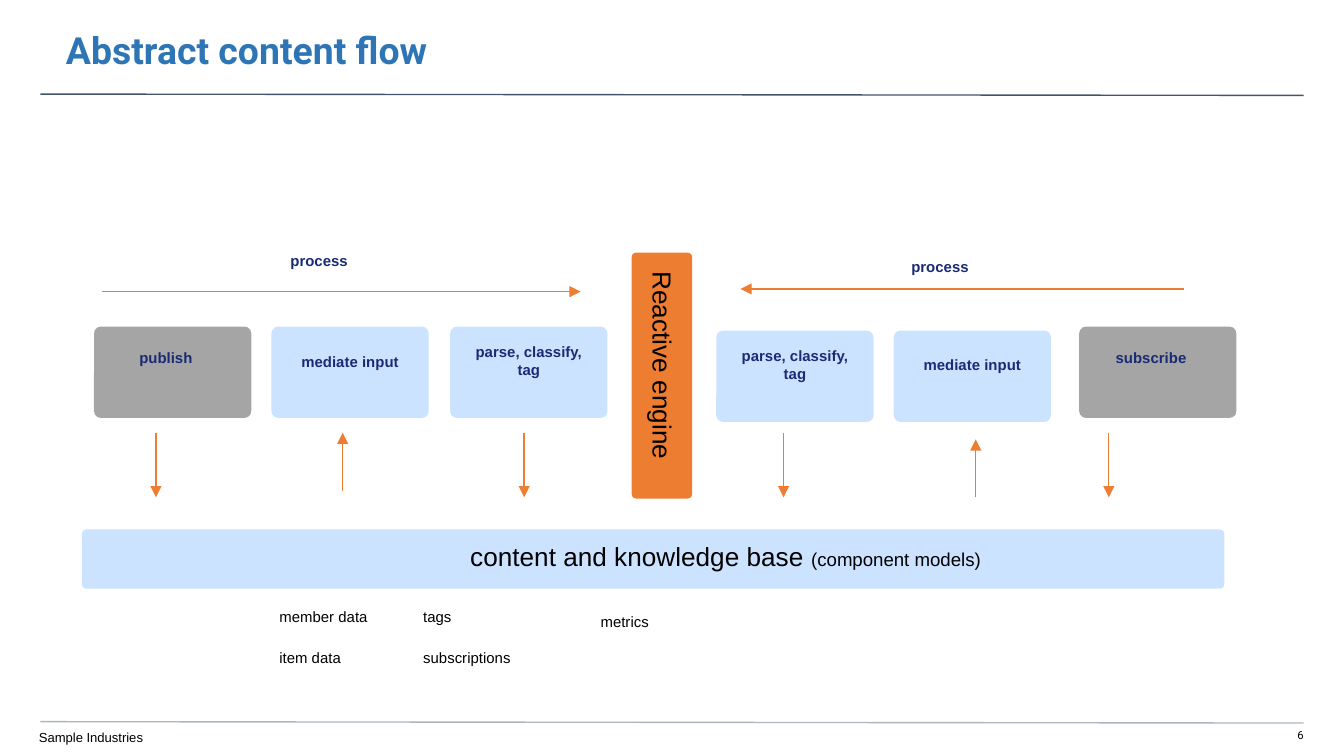
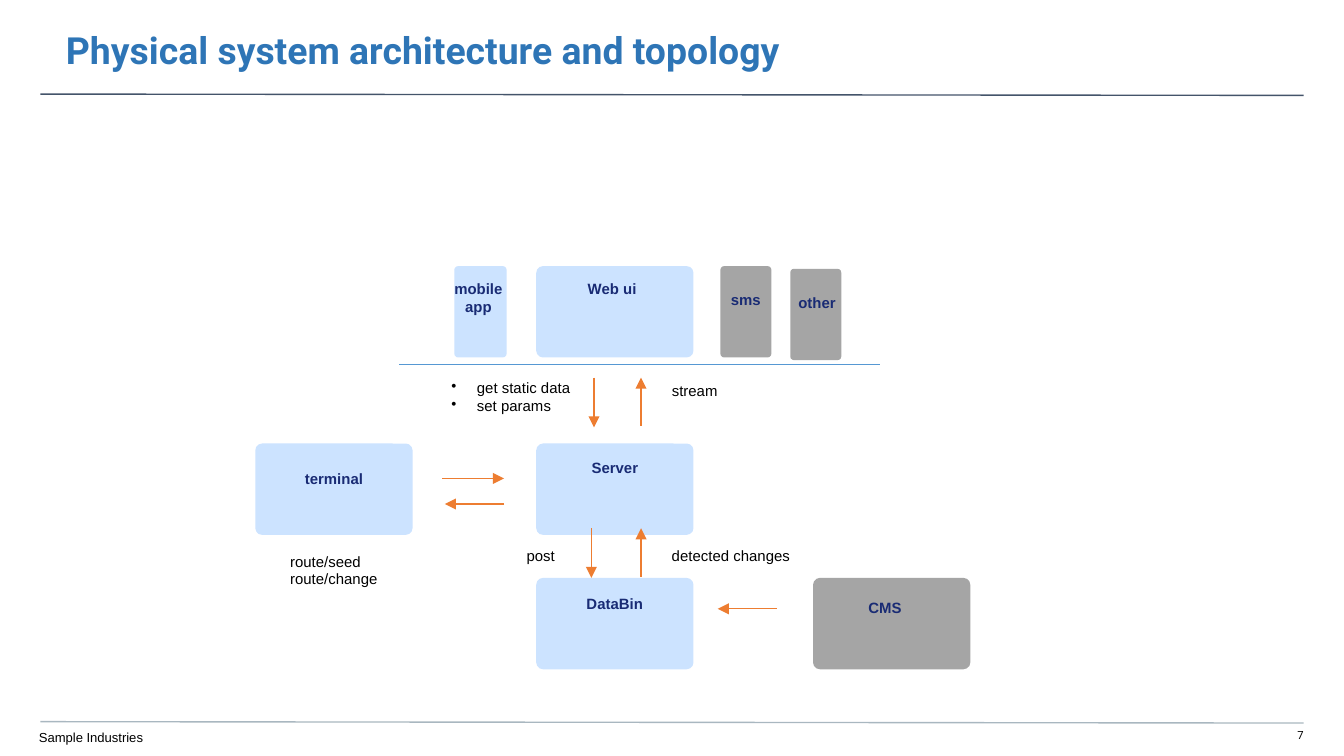
import dataclasses
import lxml.etree
import pptx
import pptx.util
import pptx.dml.color
import pptx.enum.shapes
import pptx.enum.text
import pptx.oxml.ns

PX = 9144
RGB = pptx.dml.color.RGBColor.from_string
Align = pptx.enum.text.PP_ALIGN
Anchor = pptx.enum.text.MSO_ANCHOR
Fit = pptx.enum.text.MSO_AUTO_SIZE
qn = pptx.oxml.ns.qn


@dataclasses.dataclass(frozen=True)
class Theme:
    title: str = "2E75B6"
    ink: str = "000000"
    navy: str = "192B74"
    blue: str = "CCE3FF"
    gray: str = "A5A5A5"
    flame: str = "ED7D31"
    sky: str = "5698D3"
    head: str = "44546A"
    foot: str = "A9B7C0"
    sans: str = "Arial"
    face: str = "Roboto"
    big: int = 20
    mid: int = 14
    low: int = 10
    body: int = 8
    fine: int = 7
    tiny: int = 6
    line: float = 0.75


theme = Theme()


def write(shape, text, size=theme.body, tint=theme.ink, face=theme.sans, bold=False,
          side=Align.LEFT, hold=Anchor.TOP, fit=Fit.SHAPE_TO_FIT_TEXT, pads=(10, 5, 10, 5)):
    frame = shape.text_frame
    frame.text = text
    frame.word_wrap = True
    frame.auto_size = fit
    frame.vertical_anchor = hold
    frame.margin_left, frame.margin_top, frame.margin_right, frame.margin_bottom = [p * PX for p in pads]
    for para in frame.paragraphs:
        para.alignment = side
        para.font.size = pptx.util.Pt(size)
        para.font.name = face
        para.font.bold = bold
        para.font.color.rgb = RGB(tint)
    return frame


def link(page, ends, tint=theme.flame, tip=True):
    line = page.shapes.add_connector(pptx.enum.shapes.MSO_CONNECTOR.STRAIGHT, *[v * PX for v in ends])
    line.line.color.rgb = RGB(tint)
    line.line.width = pptx.util.Pt(theme.line)
    if tip:
        lxml.etree.SubElement(line.line._get_or_add_ln(), qn("a:tailEnd"), type="triangle")
    lxml.etree.SubElement(line._element.spPr, qn("a:effectLst"))


flow = {
    "title": "Abstract content flow",
    "boxes": [
        (70, 243, 117, 68, theme.gray),
        (202, 243, 117, 68, theme.blue),
        (335, 243, 117, 68, theme.blue),
        (803, 243, 117, 68, theme.gray),
        (665, 246, 117, 68, theme.blue),
        (533, 246, 117, 68, theme.blue),
        (470, 188, 45, 183, theme.flame),
        (61, 394, 850, 44, theme.blue),
    ],
    "names": [
        (65, 254, 117, 24, "publish"),
        (202, 257, 117, 24, "mediate input"),
        (335, 250, 117, 37, "parse, classify, tag"),
        (798, 254, 117, 24, "subscribe"),
        (665, 259, 117, 24, "mediate input"),
        (533, 253, 117, 37, "parse, classify, tag"),
        (179, 182, 117, 24, "process"),
        (641, 186, 117, 24, "process"),
    ],
    "notes": [
        (198, 447, 98, 24, "member data"),
        (198, 478, 98, 24, "item data"),
        (305, 447, 98, 24, "tags"),
        (305, 478, 98, 24, "subscriptions"),
        (437, 451, 98, 24, "metrics"),
    ],
    "links": [
        (76, 217, 432, 217),
        (881, 215, 551, 215),
        (255, 365, 255, 322),
        (726, 370, 726, 327),
        *[(x, 322, x, 370) for x in (116, 390, 583, 825)],
    ],
}

grid = {
    "title": "Physical system architecture and topology",
    "boxes": [
        *[(399, y, 117, 68, theme.blue) for y in (198, 330, 430)],
        (190, 330, 117, 68, theme.blue),
        (605, 430, 117, 68, theme.gray),
        (338, 198, 39, 68, theme.blue),
        (536, 198, 38, 68, theme.gray),
        (588, 200, 38, 68, theme.gray),
    ],
    "names": [
        (399, 336, 117, 24, "Server"),
        (399, 437, 117, 24, "DataBin"),
        (397, 203, 117, 24, "Web ui"),
        (190, 344, 117, 24, "terminal"),
        (532, 211, 46, 24, "sms"),
        (600, 440, 117, 24, "CMS"),
        (319, 203, 74, 37, "mobile app"),
        (580, 213, 56, 24, "other"),
    ],
    "notes": [
        (490, 279, 125, 24, "stream"),
        (382, 402, 86, 24, "post"),
        (490, 402, 110, 24, "detected changes"),
        (206, 406, 98, 37, "route/seed\nroute/change"),
    ],
    "links": [
        (329, 356, 375, 356),
        (375, 375, 331, 375),
        (442, 281, 442, 318),
        (477, 317, 477, 281),
        (440, 393, 440, 430),
        (477, 429, 477, 393),
        (578, 453, 534, 453),
    ],
}

deck = pptx.Presentation()
deck.slide_width = 1000 * PX
deck.slide_height = deck.slide_width * 9 // 16
pages = []

for count, plan in enumerate((flow, grid), 6):
    page = deck.slides.add_slide(deck.slide_layouts[5])
    pages.append(page)

    link(page, (30, 70, 970, 71), theme.head, False)
    link(page, (30, 537, 970, 538), theme.foot, False)

    mark = page.shapes.add_textbox(941 * PX, 542 * PX, 29 * PX, 12 * PX)
    write(mark, str(count), theme.tiny, face=theme.face, side=Align.RIGHT, fit=Fit.NONE, pads=(0, 0, 0, 10))
    foot = page.shapes.add_textbox(-1 * PX, 538 * PX, 872 * PX, 25 * PX)
    write(foot, "Sample Industries", theme.fine, fit=Fit.NONE, pads=(30, 5, 0, 0))

    title = page.shapes.title
    title.left, title.top, title.width, title.height = -1 * PX, 0, 1003 * PX, 58 * PX
    write(title, plan["title"], theme.big, theme.title, theme.face, True, fit=Fit.NONE, pads=(50, 20, 30, 10))

    for *spot, fill in plan["boxes"]:
        box = page.shapes.add_shape(pptx.enum.shapes.MSO_SHAPE.ROUNDED_RECTANGLE, *[v * PX for v in spot])
        box.adjustments[0] = 0.075
        box.shadow.inherit = False
        box.fill.solid()
        box.fill.fore_color.rgb = RGB(fill)
        box.line.fill.background()

    for *spot, text in plan["names"]:
        name = page.shapes.add_textbox(*[v * PX for v in spot])
        write(name, text, tint=theme.navy, bold=True, side=Align.CENTER, hold=Anchor.MIDDLE)

    for *spot, text in plan["notes"]:
        write(page.shapes.add_textbox(*[v * PX for v in spot]), text)

    for ends in plan["links"]:
        link(page, ends)

first, last = pages

core = first.shapes.add_textbox(377 * PX, 291 * PX, 232 * PX, 34 * PX)
core.rotation = 90
write(core, "Reactive engine", theme.mid)

base = first.shapes.add_textbox(340 * PX, 397 * PX, 418 * PX, 34 * PX)
para = write(base, "", theme.mid).paragraphs[0]
for text, size in (("content and knowledge base ", theme.mid), ("(component models)", theme.low)):
    run = para.add_run()
    run.text = text
    run.font.size = pptx.util.Pt(size)

link(last, (297, 271, 655, 271), theme.sky, False)

calls = last.shapes.add_textbox(326 * PX, 277 * PX, 125 * PX, 37 * PX)
for para in write(calls, "get static data\nset params").paragraphs:
    props = para._p.get_or_add_pPr()
    props.set("marL", str(19 * PX))
    props.set("indent", str(-19 * PX))
    dot = lxml.etree.Element(qn("a:buChar"), char="•")
    props.insert(0, dot)

deck.save("out.pptx")
